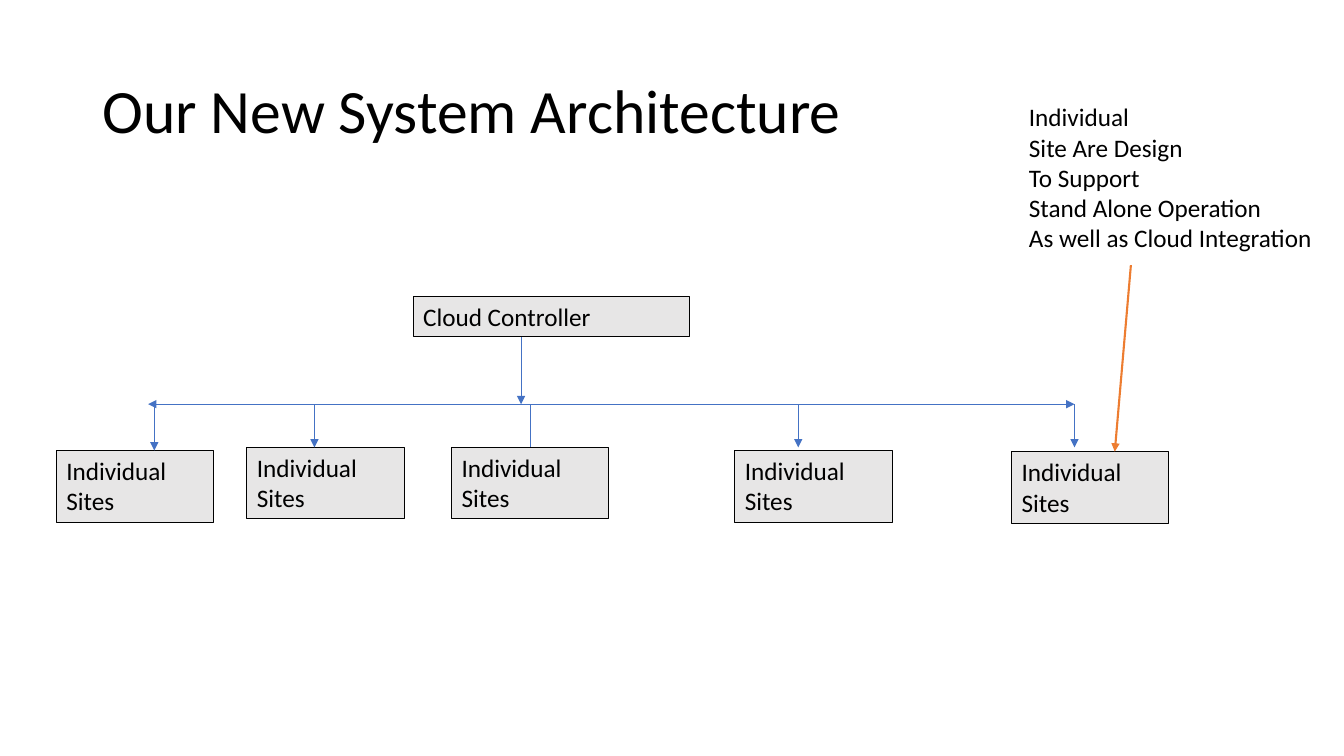
import pptx
import pptx.enum.dml
import pptx.enum.shapes
import pptx.enum.text
import pptx.oxml.ns
import pptx.util
from lxml import etree
from pptx.dml.color import RGBColor
from pptx.util import Pt

COLORS = {
    "text": "000000",
    "box": "E7E6E6",
    "outline": "000000",
    "link": "4472C4",
    "callout": "ED7D31",
}
FONT = "Calibri"
TITLE_ONLY = 5
BUS_Y = 288.7
TRUNK_X = 372.2
SITE_WIDTH, SITE_HEIGHT = 112.4, 51.1
# left and top of each site, x of the drop that feeds it, end of the drop
SITES = [
    (40.3, 321.8, 110.2, 321.8),
    (176.4, 319.6, 224.6, 319.6),
    (322.6, 319.6, 378.8, 319.6),
    (524.9, 321.8, 570.2, 319.6),
    (722.6, 322.6, 767.5, 319.6),
]
CENTRE_SITE = 2
TOP_SIDE = 0


def color(name):
    return RGBColor.from_string(COLORS[name])


def write_lines(frame, lines, size=18):
    """Fill a text frame with one left-aligned paragraph per line."""
    frame.text = "\n".join(lines)
    for paragraph in frame.paragraphs:
        paragraph.alignment = pptx.enum.text.PP_ALIGN.LEFT
        paragraph.font.name = FONT
        paragraph.font.size = Pt(size)
        paragraph.font.color.rgb = color("text")


def set_title(slide, wording):
    title = slide.shapes.title
    title.left, title.top, title.width, title.height = Pt(66), Pt(28.8), Pt(828), Pt(104.4)
    frame = title.text_frame
    write_lines(frame, [wording], 44)
    frame.auto_size = pptx.enum.text.MSO_AUTO_SIZE.NONE
    frame.vertical_anchor = pptx.enum.text.MSO_ANCHOR.MIDDLE
    frame.paragraphs[0].line_spacing = 0.9


def add_node(slide, left, top, width, height, lines):
    node = slide.shapes.add_shape(
        pptx.enum.shapes.MSO_SHAPE.RECTANGLE, Pt(left), Pt(top), Pt(width), Pt(height))
    node.shadow.inherit = False
    node.fill.solid()
    node.fill.fore_color.rgb = color("box")
    node.line.color.rgb = color("outline")
    node.line.width = Pt(0.75)
    write_lines(node.text_frame, lines)
    node.text_frame.word_wrap = True
    node.text_frame.vertical_anchor = pptx.enum.text.MSO_ANCHOR.TOP
    return node


def add_link(slide, start, end, tint="link", width=0.5, arrow=True):
    link = slide.shapes.add_connector(
        pptx.enum.shapes.MSO_CONNECTOR.STRAIGHT, *(Pt(value) for value in start + end))
    link.line.color.rgb = color(tint)
    link.line.width = Pt(width)
    if arrow:
        head = etree.SubElement(link.line._get_or_add_ln(), pptx.oxml.ns.qn("a:tailEnd"))
        head.set("type", "triangle")
    etree.SubElement(link._element.spPr, pptx.oxml.ns.qn("a:effectLst"))
    return link


def add_note(slide, left, top, width, height, lines):
    note = slide.shapes.add_textbox(Pt(left), Pt(top), Pt(width), Pt(height))
    write_lines(note.text_frame, lines)
    note.text_frame.word_wrap = False


def main():
    deck = pptx.Presentation()
    deck.slide_width, deck.slide_height = Pt(960), Pt(540)
    slide = deck.slides.add_slide(deck.slide_layouts[TITLE_ONLY])

    set_title(slide, "Our New System Architecture")
    add_node(slide, 295.2, 211.6, 197.3, 29, ["Cloud Controller"])
    sites = [add_node(slide, left, top, SITE_WIDTH, SITE_HEIGHT, ["Individual", "Sites"])
             for left, top, _, _ in SITES]

    add_link(slide, (TRUNK_X, 240.6), (TRUNK_X, BUS_Y))
    for bus_end in (105.8, 767.5):
        add_link(slide, (TRUNK_X, BUS_Y), (bus_end, BUS_Y))
    for index, (_, _, drop_x, drop_end) in enumerate(SITES):
        central = index == CENTRE_SITE
        drop = add_link(slide, (drop_x, BUS_Y), (drop_x, drop_end), arrow=not central)
        if central:
            drop.end_connect(sites[index], TOP_SIDE)

    add_link(slide, (807.8, 189.4), (796.3, 322.6), "callout", 1.5)
    add_note(slide, 727.9, 69.1, 218.9, 116.6, [
        "Individual",
        "Site Are Design",
        "To Support",
        "Stand Alone Operation",
        "As well as Cloud Integration",
    ])
    deck.save("out.pptx")


if __name__ == "__main__":
    main()
